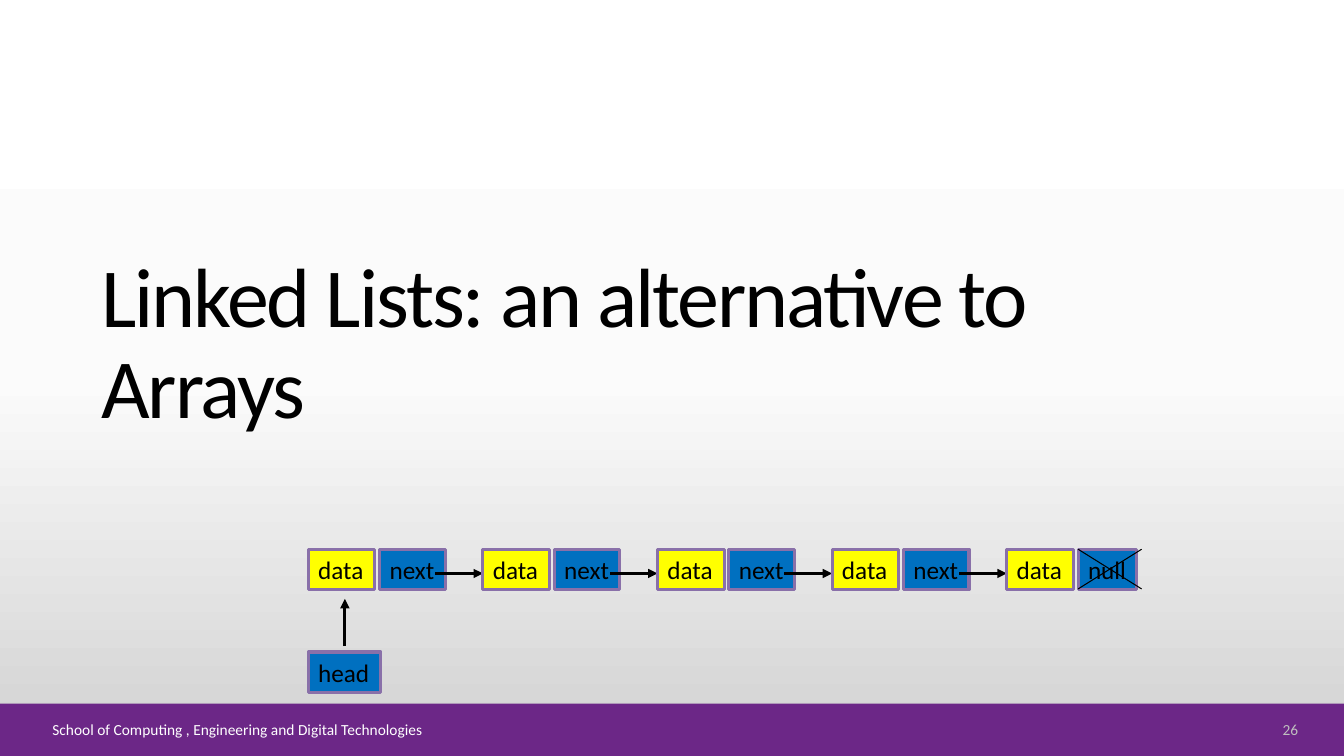
"""Build the title slide "Linked Lists: an alternative to Arrays"."""
from lxml import etree
from pptx import Presentation
from pptx import util as u
from pptx.dml.color import RGBColor
from pptx.enum import shapes, text
from pptx.oxml import parse_xml
from pptx.oxml.ns import nsdecls, qn

FONT = "Calibri"
BLACK, WHITE, YELLOW, BLUE = "000000", "FFFFFF", "FFFF00", "0070C0"
PURPLE, OUTLINE, GREY = "6C2787", "8970A9", "BFBFBF"
NODES = 5
LIST_LEFT, LIST_TOP, PITCH = 7.77, 13.84, 4.4
CELL_HEIGHT, NEXT_OFFSET = 1.02, 1.8


def color(value):
    """Return the colour for a hex string."""
    return RGBColor.from_string(value)


def paint_background(slide, stops):
    """Fill the slide background with a top-to-bottom gradient."""
    marks = "".join(
        f'<a:gs pos="{place * 1000}"><a:srgbClr val="{value}"/></a:gs>'
        for place, value in stops
    )
    background = parse_xml(
        f'<p:bg {nsdecls("p", "a")}><p:bgPr><a:gradFill rotWithShape="1">'
        f'<a:gsLst>{marks}</a:gsLst><a:lin ang="5400000" scaled="0"/>'
        "</a:gradFill><a:effectLst/></p:bgPr></p:bg>"
    )
    slide.element.cSld.insert(0, background)


def write(frame, words, size, ink, align=text.PP_ALIGN.LEFT):
    """Put one styled paragraph into a text frame and return it."""
    line = frame.paragraphs[0]
    line.text = words
    line.alignment = align
    line.font.name, line.font.size = FONT, u.Pt(size)
    line.font.color.rgb = color(ink)
    return line


def add_label(slide, box, words, size, ink, align=text.PP_ALIGN.LEFT):
    """Add wrapped, vertically centred text and return its paragraph."""
    frame = slide.shapes.add_textbox(*map(u.Cm, box)).text_frame
    frame.word_wrap = True
    frame.vertical_anchor = text.MSO_ANCHOR.MIDDLE
    return write(frame, words, size, ink, align)


def add_rectangle(parent, box, fill):
    """Add a filled rectangle without outline or shadow."""
    rectangle = parent.shapes.add_shape(
        shapes.MSO_SHAPE.RECTANGLE, *map(u.Cm, box)
    )
    rectangle.shadow.inherit = False
    rectangle.fill.solid()
    rectangle.fill.fore_color.rgb = color(fill)
    rectangle.line.fill.background()
    return rectangle


def add_cell(parent, left, top, width, words, fill):
    """Add an outlined cell of the list diagram."""
    cell = add_rectangle(parent, (left, top, width, CELL_HEIGHT), fill)
    cell.line.color.rgb = color(OUTLINE)
    cell.line.width = u.Pt(2.25)
    frame = cell.text_frame
    frame.word_wrap = False
    frame.auto_size = text.MSO_AUTO_SIZE.SHAPE_TO_FIT_TEXT
    frame.vertical_anchor = text.MSO_ANCHOR.TOP
    write(frame, words, 18, BLACK)


def add_line(parent, start, end, weight, arrow=False):
    """Add a straight black line, with an arrowhead at its end if asked."""
    line = parent.shapes.add_connector(
        shapes.MSO_CONNECTOR.STRAIGHT, *map(u.Cm, (*start, *end))
    )
    line.line.color.rgb = color(BLACK)
    line.line.width = u.Pt(weight)
    if arrow:
        outline = line.line._get_or_add_ln()
        etree.SubElement(outline, qn("a:tailEnd"), type="triangle")
    etree.SubElement(line._element.spPr, qn("a:effectLst"))


def add_node(slide, left, last):
    """Add one list node with its link, or a crossed-out null when last."""
    node = slide.shapes.add_group_shape()
    pointer = left + NEXT_OFFSET
    add_cell(node, left, LIST_TOP, 1.68, "data", YELLOW)
    if last:
        add_cell(node, pointer, LIST_TOP, 1.47, "null", BLUE)
        right, bottom = pointer + 1.6, LIST_TOP + 1
        add_line(node, (pointer, LIST_TOP), (right, bottom), 0.75)
        add_line(node, (right, LIST_TOP), (pointer, bottom), 0.75)
    else:
        add_cell(node, pointer, LIST_TOP, 1.65, "next", BLUE)
        link = LIST_TOP + 0.61
        add_line(node, (left + 3.2, link), (left + PITCH, link), 2.25, True)


def add_head(slide):
    """Add the head cell and its arrow to the first node."""
    head = slide.shapes.add_group_shape()
    add_cell(head, LIST_LEFT, 16.43, 1.83, "head", BLUE)
    middle = LIST_LEFT + 0.92
    add_line(head, (middle, 16.28), (middle, 15.09), 2.25, True)


def main():
    """Compose and save the slide."""
    deck = Presentation()
    deck.slide_width, deck.slide_height = u.Cm(33.87), u.Cm(19.05)
    slide = deck.slides.add_slide(deck.slide_layouts[6])
    paint_background(slide, [(0, WHITE), (50, "FBFBFB"), (100, "D1D1D1")])
    add_rectangle(slide, (0, 17.73, 33.87, 1.32), PURPLE)

    title = add_label(slide, (2.31, 4.75, 29.21, 7.92),
                      "Linked Lists: an alternative to Arrays", 60, BLACK)
    title.line_spacing = 0.9
    title.runs[0].font._element.set("spc", "-150")
    for run in title.runs:
        run.font.name, run.font.size = FONT, u.Pt(60)
        run.font.color.rgb = color(BLACK)

    add_label(slide, (1.07, 18.08, 29.59, 0.58),
              "School of Computing , Engineering and Digital Technologies",
              11, WHITE)
    add_label(slide, (31.06, 18.08, 1.91, 0.58), "26", 11, GREY,
              text.PP_ALIGN.RIGHT)

    for index in range(NODES):
        add_node(slide, LIST_LEFT + index * PITCH, index == NODES - 1)
    add_head(slide)
    deck.save("out.pptx")


if __name__ == "__main__":
    main()
